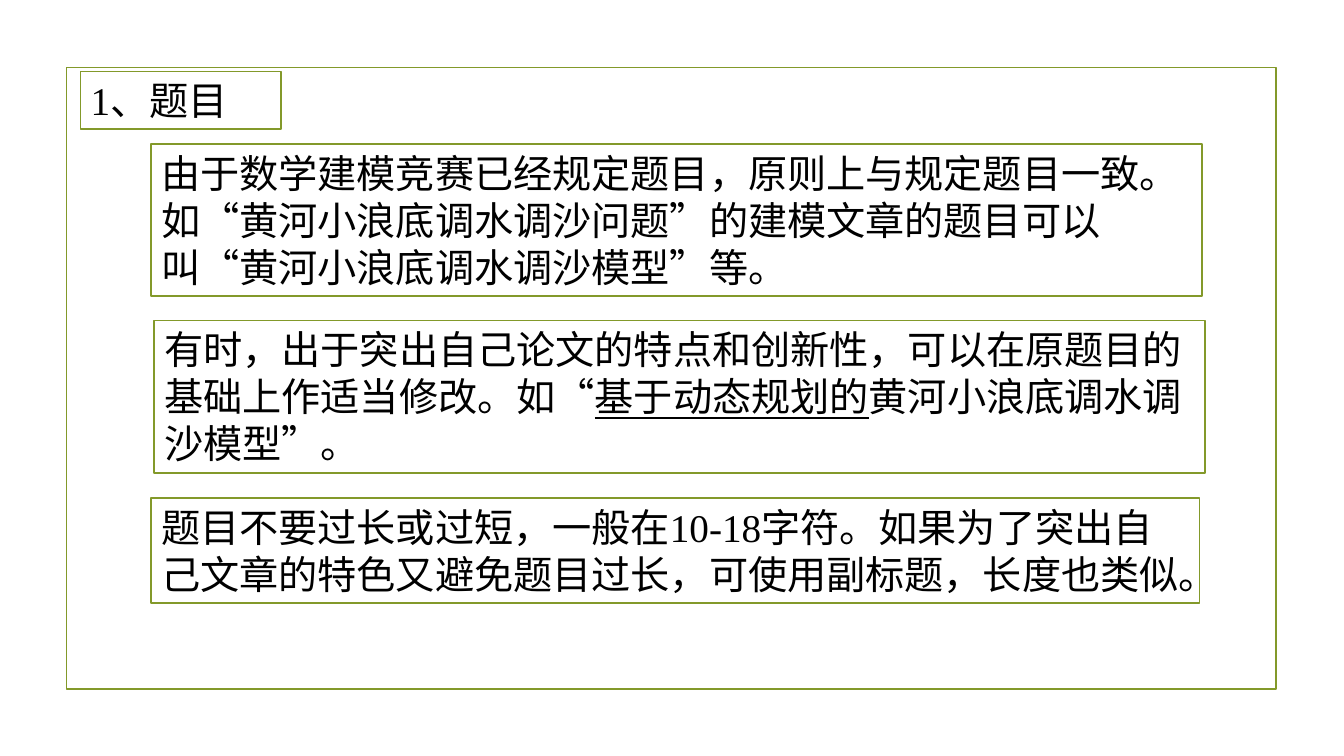
from pptx import Presentation
from pptx.dml.color import RGBColor
from pptx.enum.shapes import MSO_SHAPE
from pptx.enum.text import MSO_ANCHOR, MSO_AUTO_SIZE, PP_ALIGN
from pptx.util import Cm, Pt

OLIVE = RGBColor(0x83, 0x99, 0x2A)
WHITE = RGBColor(0xFF, 0xFF, 0xFF)
BLACK = RGBColor(0x00, 0x00, 0x00)


def write(box, text, size=28, font="Times New Roman", color=BLACK, mark="|"):
    box.fill.solid()
    box.fill.fore_color.rgb = WHITE
    box.line.color.rgb = OLIVE
    box.line.width = Pt(1.25)
    frame = box.text_frame
    frame.word_wrap = True
    frame.auto_size = MSO_AUTO_SIZE.NONE
    frame.vertical_anchor = MSO_ANCHOR.TOP
    para = frame.paragraphs[0]
    para.alignment = PP_ALIGN.LEFT
    for i, part in enumerate(text.split(mark)):
        run = para.add_run()
        run.text = part
        run.font.size = Pt(size)
        run.font.name = font
        run.font.color.rgb = color
        if i % 2:
            run.font.underline = True


deck = Presentation()
deck.slide_width = Cm(33.87)
deck.slide_height = Cm(19.05)
slide = deck.slides.add_slide(deck.slide_layouts[5])
shapes = slide.shapes

border = shapes.add_shape(MSO_SHAPE.RECTANGLE, Cm(1.68), Cm(1.7), Cm(30.48), Cm(15.67))
border.shadow.inherit = False
border.fill.background()
border.line.color.rgb = OLIVE
border.line.width = Pt(1.25)

title = shapes.title
title.left, title.top, title.width, title.height = Cm(2.03), Cm(1.8), Cm(5.05), Cm(1.45)
write(title, "1、题目")

notes = [
    (3.81, 3.63, 26.49, 3.84,
     "由于数学建模竞赛已经规定题目，原则上与规定题目一致。如“黄河小浪底调水调沙问题”的建模文章的题目可以叫“黄河小浪底调水调沙模型”等。"),
    (3.89, 8.08, 26.47, 3.84,
     "有时，出于突出自己论文的特点和创新性，可以在原题目的基础上作适当修改。如“|基于动态规划的|黄河小浪底调水调沙模型”。"),
    (3.81, 12.55, 26.42, 2.64,
     "题目不要过长或过短，一般在10-18字符。如果为了突出自己文章的特色又避免题目过长，可使用副标题，长度也类似。"),
]
for left, top, width, height, text in notes:
    box = shapes.add_textbox(Cm(left), Cm(top), Cm(width), Cm(height))
    write(box, text)

deck.save("out.pptx")
